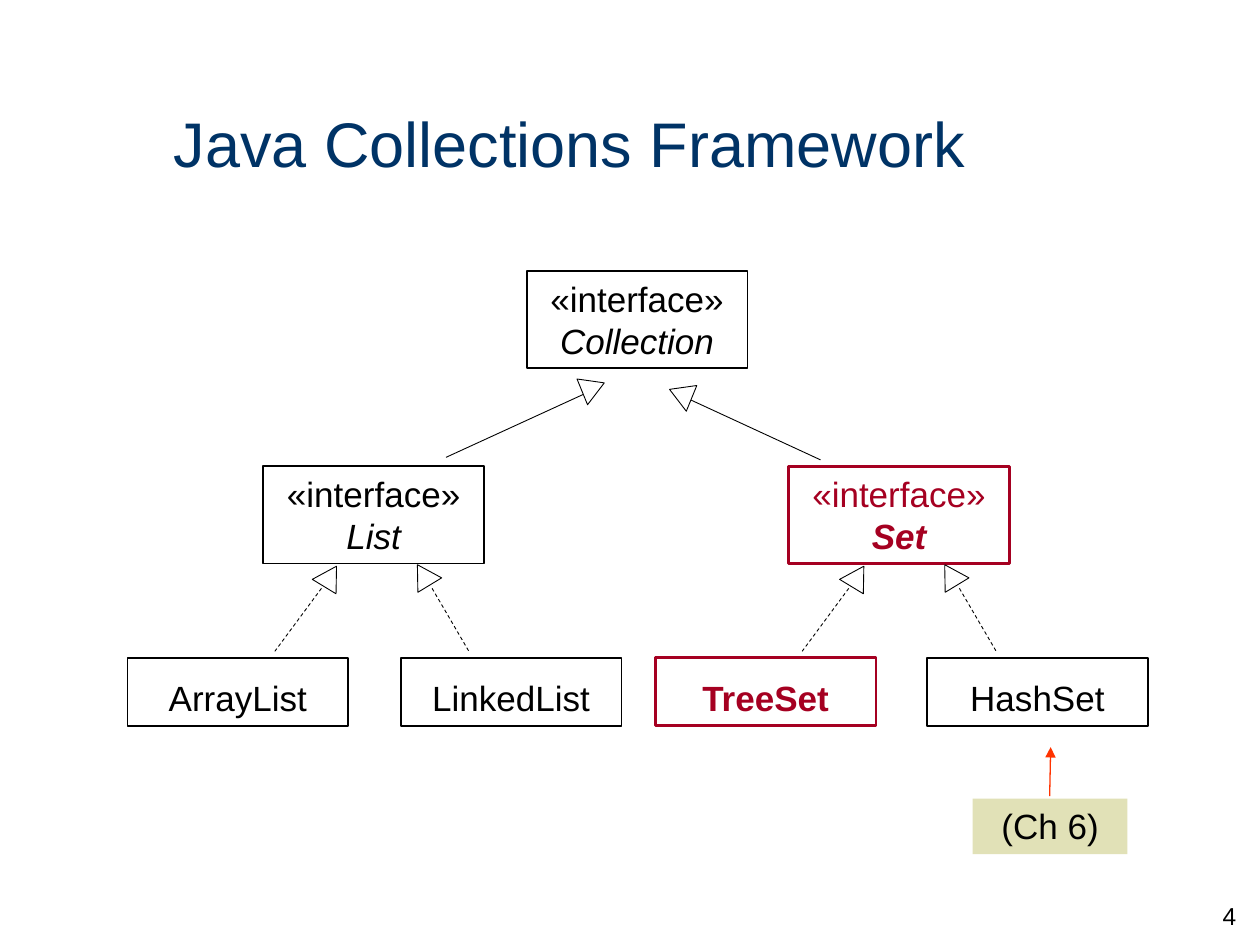
"""Build the Java Collections Framework class diagram slide."""
from lxml import etree
from pptx import Presentation
from pptx.dml.color import RGBColor
from pptx.enum.dml import MSO_LINE
from pptx.enum.shapes import MSO_CONNECTOR, MSO_SHAPE
from pptx.enum.text import MSO_ANCHOR, PP_ALIGN
from pptx.oxml.ns import qn
from pptx.util import Cm, Pt

RECT, TRIANGLE = MSO_SHAPE.RECTANGLE, MSO_SHAPE.ISOSCELES_TRIANGLE
STRAIGHT, DASH = MSO_CONNECTOR.STRAIGHT, MSO_LINE.DASH
TOP, MIDDLE = MSO_ANCHOR.TOP, MSO_ANCHOR.MIDDLE
LEFT, CENTER, RIGHT = PP_ALIGN.LEFT, PP_ALIGN.CENTER, PP_ALIGN.RIGHT

BLACK = RGBColor(0x00, 0x00, 0x00)
WHITE = RGBColor(0xFF, 0xFF, 0xFF)
NAVY = RGBColor(0x00, 0x33, 0x66)
CRIMSON = RGBColor(0xA5, 0x00, 0x21)
KHAKI = RGBColor(0xE1, 0xE1, 0xB7)
ORANGE = RGBColor(0xFF, 0x33, 0x00)

BOX_W, LEAF_TOP, BRANCH_DX = 4.45, 13.26, 10.63


def write(p, text, size, color, align):
    p.text = text
    p.alignment = align
    p.font.name = "Arial"
    p.font.size = Pt(size)
    p.font.color.rgb = color


def add_line(x1, y1, x2, y2, color=BLACK, width=0.5):
    s = slide.shapes.add_connector(STRAIGHT, Cm(x1), Cm(y1), Cm(x2), Cm(y2))
    s.line.color.rgb = color
    s.line.width = Pt(width)
    etree.SubElement(s._element.spPr, qn("a:effectLst"))
    return s


prs = Presentation()
prs.slide_width, prs.slide_height = Cm(25.4), Cm(19.05)
slide = prs.slides.add_slide(prs.slide_layouts[5])

title = slide.shapes.title
title.left, title.top, title.width, title.height = Cm(3.25), Cm(1.27), Cm(21.59), Cm(3.18)
title.text_frame.vertical_anchor = MIDDLE
write(title.text_frame.paragraphs[0], "Java Collections Framework", 36, NAVY, LEFT)

boxes = [
    (10.62, 5.46, "Collection", True, BLACK),
    (5.31, 9.4, "List", True, BLACK),
    (15.9, 9.4, "Set", True, CRIMSON),
    (2.57, LEAF_TOP, "ArrayList", False, BLACK),
    (8.08, LEAF_TOP, "LinkedList", False, BLACK),
    (13.21, LEAF_TOP, "TreeSet", False, CRIMSON),
    (18.69, LEAF_TOP, "HashSet", False, BLACK),
]
for x, y, name, is_interface, color in boxes:
    height = 1.96 if is_interface else 1.37
    s = slide.shapes.add_shape(RECT, Cm(x), Cm(y), Cm(BOX_W), Cm(height))
    s.shadow.inherit = False
    s.fill.background()
    s.line.color.rgb = color
    s.line.width = Pt(1.5 if color == CRIMSON else 1)
    tf = s.text_frame
    tf.vertical_anchor = TOP
    p = tf.paragraphs[0]
    if is_interface:
        write(p, "«interface»", 20, color, CENTER)
        p = tf.add_paragraph()
    else:
        p.line_spacing = 1.3
    write(p, name, 20, color, CENTER)
    p.font.italic = is_interface
    p.font.bold = color == CRIMSON

add_line(11.76, 7.95, 8.99, 9.22)
add_line(13.79, 8, 16.54, 9.27)
heads = [(11.68, 7.57, 67.8), (13.44, 7.7, -67.8)]
for dx in (0, BRANCH_DX):
    add_line(6.48 + dx, 11.86, 5.54 + dx, 13.13).line.dash_style = DASH
    add_line(8.71 + dx, 11.86, 9.47 + dx, 13.16).line.dash_style = DASH
    heads += [(6.38 + dx, 11.38, 31.3), (8.26 + dx, 11.35, -31.3)]

for x, y, angle in heads:
    s = slide.shapes.add_shape(TRIANGLE, Cm(x), Cm(y), Cm(0.56), Cm(0.48))
    s.rotation = angle
    s.shadow.inherit = False
    s.fill.solid()
    s.fill.fore_color.rgb = WHITE
    s.line.color.rgb = BLACK
    s.line.width = Pt(0.5)

note = slide.shapes.add_shape(RECT, Cm(19.61), Cm(16.1), Cm(3.12), Cm(1.12))
note.shadow.inherit = False
note.fill.solid()
note.fill.fore_color.rgb = KHAKI
note.line.fill.background()
note.text_frame.vertical_anchor = TOP
write(note.text_frame.paragraphs[0], "(Ch 6)", 20, BLACK, CENTER)

arrow = add_line(21.16, 16.05, 21.18, 15.06, ORANGE, 0.75)
etree.SubElement(arrow.line._get_or_add_ln(), qn("a:tailEnd"), type="triangle")

number = slide.shapes.add_textbox(Cm(19.89), Cm(18.03), Cm(5.28), Cm(1.27))
number.text_frame.word_wrap = True
write(number.text_frame.paragraphs[0], "4", 14, BLACK, RIGHT)

prs.save("out.pptx")
